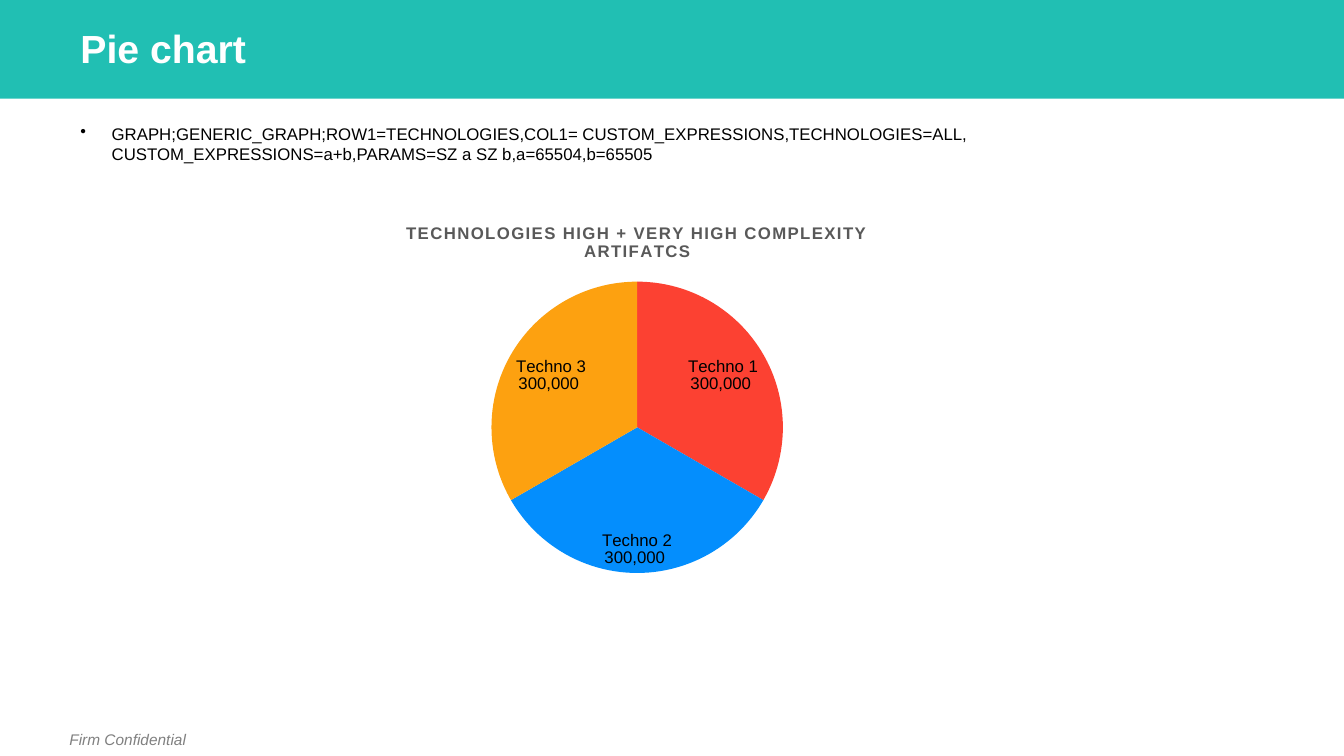
from lxml import etree
from pptx import Presentation
from pptx.chart.data import CategoryChartData
from pptx.dml.color import RGBColor
from pptx.enum.chart import XL_CHART_TYPE as ChartType, XL_LABEL_POSITION as LabelPosition
from pptx.enum.shapes import MSO_SHAPE as Shape
from pptx.enum.text import MSO_ANCHOR as Anchor
from pptx.oxml import parse_xml
from pptx.oxml.ns import nsdecls, qn
from pptx.util import Inches, Pt

TEAL = RGBColor(0x21, 0xBF, 0xB3)
WHITE = RGBColor(0xFF, 0xFF, 0xFF)
BLACK = RGBColor(0, 0, 0)
GRAY = RGBColor(0x80, 0x80, 0x80)
DARK_GRAY = RGBColor(0x59, 0x59, 0x59)
RED = RGBColor(0xFC, 0x41, 0x32)
BLUE = RGBColor(0x04, 0x8E, 0xFD)
ORANGE = RGBColor(0xFD, 0xA1, 0x10)

TECHNOLOGIES = [("Techno 1", 300000, RED), ("Techno 2", 300000, BLUE), ("Techno 3", 300000, ORANGE)]
QUERY = (
    "GRAPH;GENERIC_GRAPH;ROW1=TECHNOLOGIES,COL1= CUSTOM_EXPRESSIONS,TECHNOLOGIES=ALL, "
    "CUSTOM_EXPRESSIONS=a+b,PARAMS=SZ a SZ b,a=65504,b=65505"
)
CHART_TITLE = "TECHNOLOGIES HIGH + VERY HIGH COMPLEXITY ARTIFATCS"


def set_font(font, size, color, bold=False, italic=False):
    font.name = "Arial"
    font.size = Pt(size)
    font.color.rgb = color
    font.bold = bold
    font.italic = italic


def add_band(page, left, top, width, height, color):
    band = page.shapes.add_shape(
        Shape.RECTANGLE, Inches(left), Inches(top), Inches(width), Inches(height)
    )
    band.shadow.inherit = False
    band.fill.solid()
    band.fill.fore_color.rgb = color
    band.line.fill.background()


def add_text(page, text, left, top, width, height, size, color,
             wrap=True, anchor=Anchor.TOP, bold=False, italic=False):
    box = page.shapes.add_textbox(Inches(left), Inches(top), Inches(width), Inches(height))
    box.text_frame.word_wrap = wrap
    box.text_frame.vertical_anchor = anchor
    para = box.text_frame.paragraphs[0]
    para.text = text
    set_font(para.font, size, color, bold, italic)
    return para


def add_bullet(para, indent):
    properties = para._p.get_or_add_pPr()
    properties.set("marL", str(Inches(indent)))
    properties.set("indent", str(-Inches(indent)))
    bullet = etree.Element(qn("a:buChar"), char="•")
    properties.insert_element_before(bullet, "a:tabLst", "a:defRPr", "a:extLst")


def place_plot(chart, **fractions):
    places = "".join(f'<c:{key} val="{value}"/>' for key, value in fractions.items())
    layout = parse_xml(
        f'<c:layout {nsdecls("c")}><c:manualLayout><c:layoutTarget val="inner"/>'
        f'<c:xMode val="edge"/><c:yMode val="edge"/>{places}</c:manualLayout></c:layout>'
    )
    plot_area = chart._chartSpace.chart.plotArea
    for automatic in plot_area.findall(qn("c:layout")):
        plot_area.remove(automatic)
    plot_area.insert(0, layout)


def add_chart_title(chart, text):
    chart.has_title = True
    para = chart.chart_title.text_frame.paragraphs[0]
    span = para.add_run()
    span.text = text
    set_font(span.font, 12, DARK_GRAY, bold=True)
    span._r.get_or_add_rPr().set("spc", "100")
    chart.chart_title.include_in_layout = False


def add_labels(plot):
    plot.has_data_labels = True
    labels = plot.data_labels
    labels.show_category_name = True
    labels.show_value = True
    labels.show_percentage = False
    labels.number_format = r"#,##0_);\(#,##0\)"
    labels.number_format_is_linked = False
    labels.position = LabelPosition.INSIDE_END
    set_font(labels.font, 12, BLACK)
    separator = parse_xml(f'<c:separator {nsdecls("c")}>\n</c:separator>')
    labels._element.find(qn("c:showBubbleSize")).addnext(separator)


def add_pie(page, left, top, width, height):
    names, values, colors = zip(*TECHNOLOGIES)
    pie_data = CategoryChartData(number_format="#,##0")
    pie_data.categories = names
    pie_data.add_series("Series 1", values)
    chart = page.shapes.add_chart(
        ChartType.PIE, Inches(left), Inches(top), Inches(width), Inches(height), pie_data
    ).chart
    set_font(chart.font, 10, BLACK)
    chart.has_legend = False
    add_chart_title(chart, CHART_TITLE)
    place_plot(chart, x=0.25, y=0.18, w=0.5, h=0.69)
    plot = chart.plots[0]
    plot.vary_by_categories = True
    for index, color in enumerate(colors):
        fill = plot.series[0].points[index].format.fill
        fill.solid()
        fill.fore_color.rgb = color
    add_labels(plot)


def main():
    deck = Presentation()
    deck.slide_width = Inches(13.33)
    deck.slide_height = Inches(7.5)
    page = deck.slides.add_slide(deck.slide_layouts[6])
    add_band(page, 0, 0, 13.33, 0.98, TEAL)
    add_text(page, "Firm Confidential", 0.59, 7.19, 1.47, 0.29, 11, GRAY, wrap=False, italic=True)
    title = add_text(page, "Pie chart", 0.7, 0.28, 11.5, 0.44, 28, WHITE,
                     anchor=Anchor.MIDDLE, bold=True)
    title.line_spacing = 0.9
    query = add_text(page, QUERY, 0.7, 1.18, 11.96, 4.76, 12, BLACK)
    add_bullet(query, 0.31)
    add_pie(page, 3.4, 2.04, 5.84, 4.19)
    deck.save("out.pptx")


if __name__ == "__main__":
    main()
